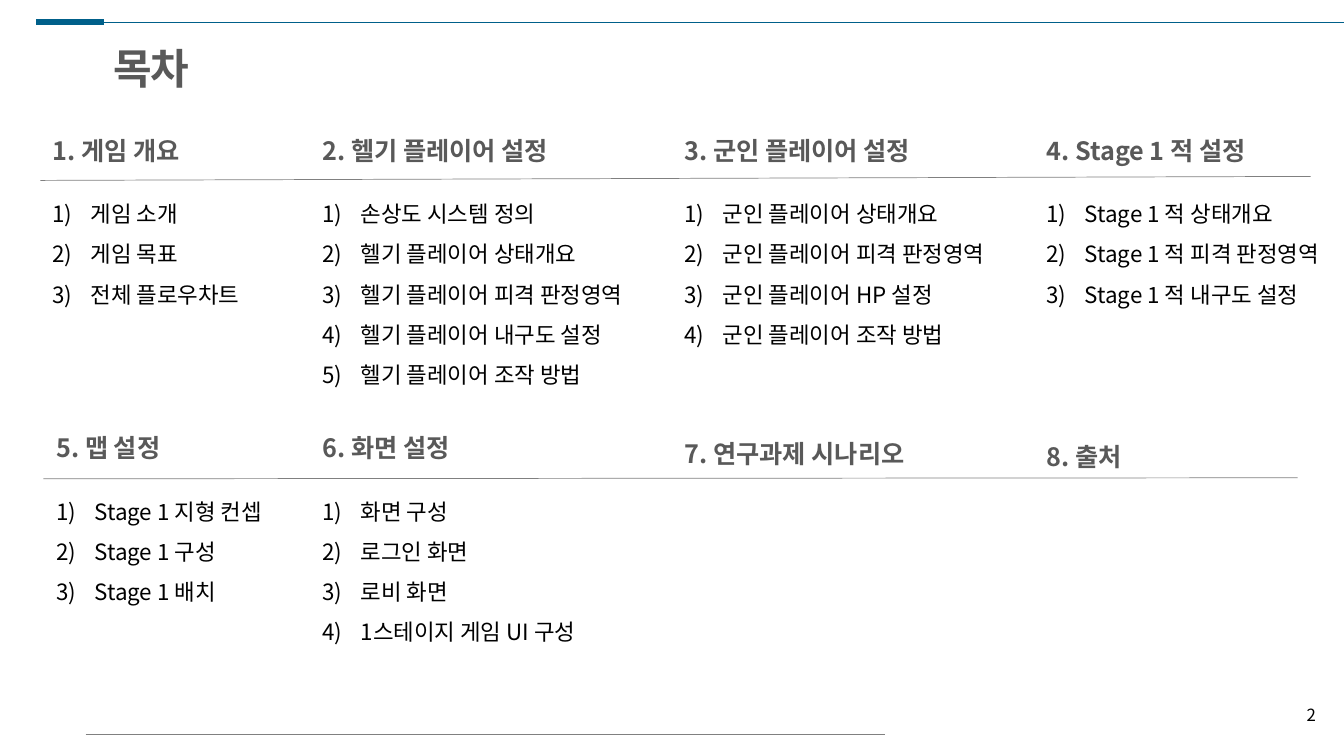
import pptx
import pptx.util
import pptx.dml.color
import pptx.enum.shapes
import pptx.enum.text
from dataclasses import dataclass
from lxml import etree
from pptx.util import Inches, Pt

Color = pptx.dml.color.RGBColor.from_string
Anchor = pptx.enum.text.MSO_ANCHOR
Align = pptx.enum.text.PP_ALIGN
Fit = pptx.enum.text.MSO_AUTO_SIZE
NS = "{http://schemas.openxmlformats.org/drawingml/2006/main}"


@dataclass
class Theme:
    face: str = "Noto Sans CJK KR"
    blue: str = "00608A"
    dark: str = "595959"
    gray: str = "808080"
    ink: str = "000000"
    title: int = 30
    head: int = 18
    item: int = 16
    page: int = 12


@dataclass
class Part:
    head: str
    left: float
    wide: float
    items: tuple = ()
    span: float = 3.56
    top: float = 0
    high: float = 0.4
    space: float = 1
    anchor: object = Anchor.MIDDLE


theme = Theme()

UPPER = [
    Part("1. 게임 개요", 0.42, 1.64, ("게임 소개", "게임 목표", "전체 플로우차트"), 2.42),
    Part("2. 헬기 플레이어 설정", 3.1, 2.86,
         ("손상도 시스템 정의", "헬기 플레이어 상태개요", "헬기 플레이어 피격 판정영역",
          "헬기 플레이어 내구도 설정", "헬기 플레이어 조작 방법")),
    Part("3. 군인 플레이어 설정", 6.69, 3.26,
         ("군인 플레이어 상태개요", "군인 플레이어 피격 판정영역",
          "군인 플레이어 HP 설정", "군인 플레이어 조작 방법")),
    Part("4. Stage 1 적 설정", 10.28, 3.05,
         ("Stage 1 적 상태개요", "Stage 1 적 피격 판정영역", "Stage 1 적 내구도 설정"), 3.05),
]
LOWER = [
    Part("5. 맵 설정", 0.46, 2.63, ("Stage 1 지형 컨셉", "Stage 1 구성", "Stage 1 배치")),
    Part("6. 화면 설정", 3.1, 2.99,
         ("화면 구성", "로그인 화면", "로비 화면", "1스테이지 게임 UI 구성")),
    Part("7. 연구과제 시나리오", 6.69, 2.63, top=-0.2, high=0.61, space=2),
    Part("8. 출처", 10.28, 1.19, top=-0.21, high=0.61, space=2, anchor=Anchor.TOP),
]


def rule(slide, start, end, color, width):
    line = slide.shapes.add_connector(
        pptx.enum.shapes.MSO_CONNECTOR.STRAIGHT,
        *(Inches(n) for n in (*start, *end)))
    line.line.color.rgb = Color(color)
    line.line.width = Pt(width)
    etree.SubElement(line._element.spPr, NS + "effectLst")


def text(slide, box, lines, size, color, bold=False, anchor=Anchor.TOP,
         space=1, listed=False, wrap=True, grow=True):
    frame = slide.shapes.add_textbox(*(Inches(n) for n in box)).text_frame
    frame.word_wrap = wrap
    frame.auto_size = Fit.SHAPE_TO_FIT_TEXT if grow else Fit.NONE
    frame.vertical_anchor = anchor
    frame.text = "\n".join(lines)
    for para in frame.paragraphs:
        if listed:
            props = para._p.get_or_add_pPr()
            props.set("marL", str(Inches(0.38)))
            props.set("indent", str(Inches(-0.38)))
            etree.SubElement(props, NS + "buAutoNum", type="arabicParenR")
        para.line_spacing = space
        for run in para.runs:
            font = run.font
            font.size = Pt(size)
            font.bold = bold
            font.color.rgb = Color(color)
            font.name = theme.face
            etree.SubElement(run._r.get_or_add_rPr(), NS + "ea", typeface=theme.face)
    return frame


def header(slide, left, top):
    rule(slide, (left, top), (13.33, top), theme.blue, 0.5)
    rule(slide, (left, top), (left + 0.67, top), theme.blue, 4.5)
    frame = text(slide, (left + 0.67, top + 0.15, 1, 0.61), ["목차"],
                 theme.title, theme.dark, bold=True, wrap=False)
    frame.paragraphs[0].runs[0]._r.get_or_add_rPr().set("spc", "-150")


def band(slide, top, parts, start, end):
    rule(slide, start, end, theme.gray, 0.5)
    for part in parts:
        text(slide, (part.left, top + part.top, part.wide, part.high), [part.head],
             theme.head, theme.dark, bold=True, anchor=part.anchor, space=part.space)
        if part.items:
            high = 0.04 + 0.405 * len(part.items)
            text(slide, (part.left, top + 0.515, part.span, high), part.items,
                 theme.item, theme.ink, space=1.5, listed=True)


def footer(slide, left, top):
    rule(slide, (left, top), (left + 7.93, top), theme.gray, 0.5)
    frame = text(slide, (12.72, top - 0.4, 0.43, 0.4), ["2"], theme.page,
                 theme.ink, anchor=Anchor.MIDDLE, grow=False)
    frame.paragraphs[0].alignment = Align.RIGHT


def main():
    deck = pptx.Presentation()
    deck.slide_width = Inches(13.33)
    deck.slide_height = Inches(7.5)
    slide = deck.slides.add_slide(deck.slide_layouts[6])
    header(slide, 0.36, 0.22)
    band(slide, 1.29, UPPER, (13, 1.75), (0.4, 1.79))
    band(slide, 4.24, LOWER, (12.87, 4.74), (0.43, 4.75))
    footer(slide, 0.85, 7.29)
    deck.save("out.pptx")


if __name__ == "__main__":
    main()
